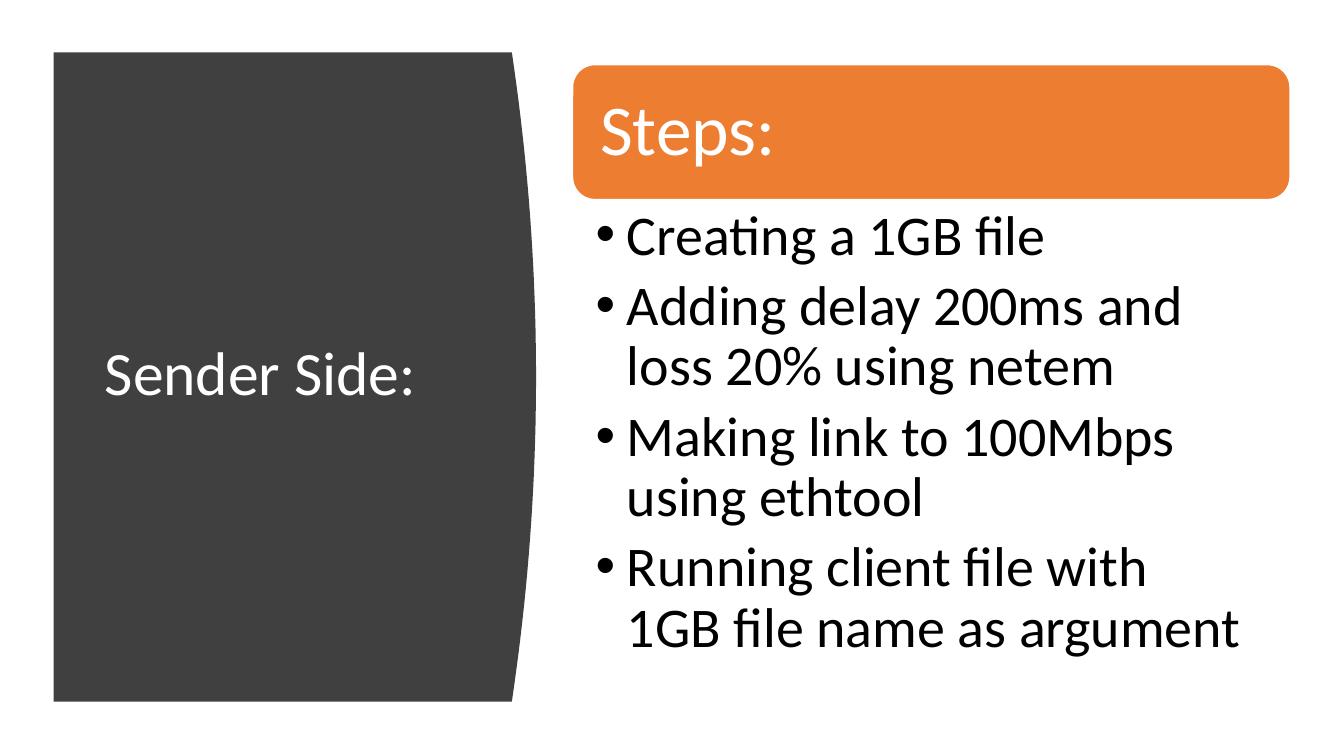
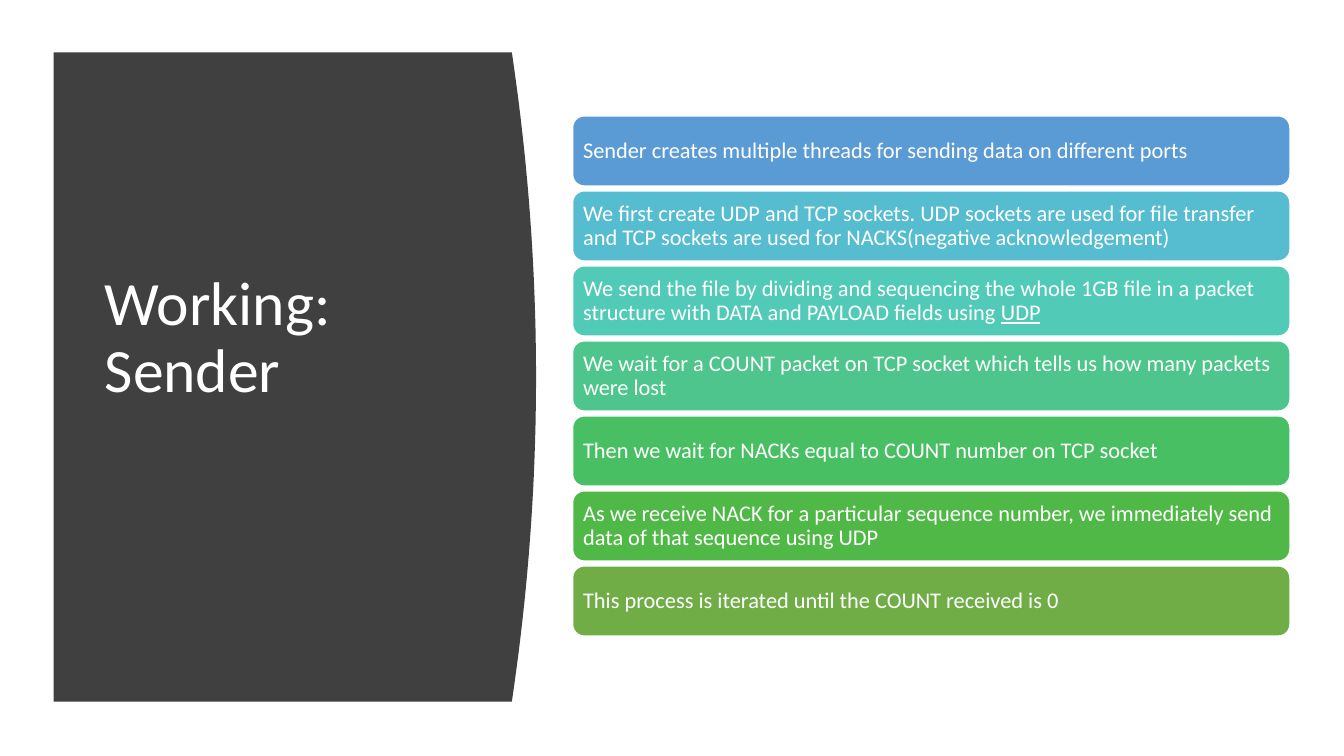
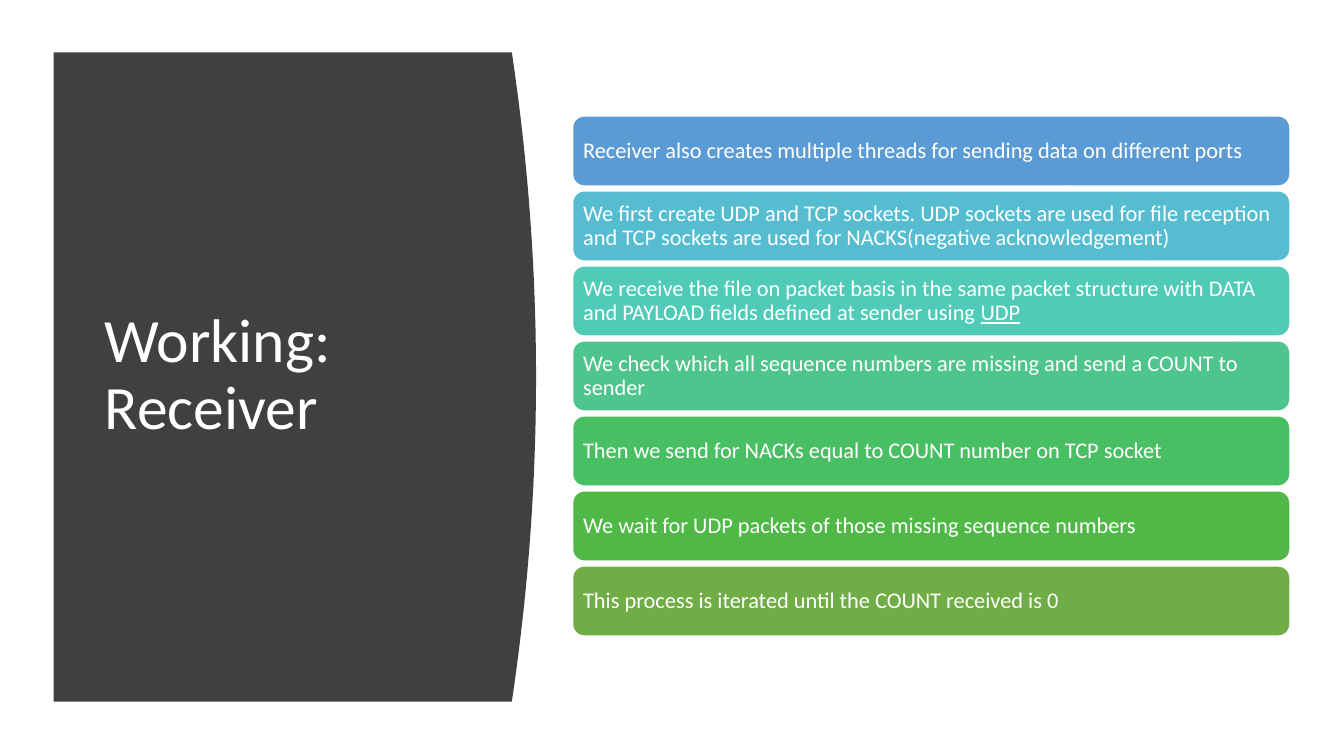
import pptx
import pptx.dml.color
import pptx.enum.shapes
import pptx.enum.text
import pptx.util

Cm = pptx.util.Cm
Pt = pptx.util.Pt
Anchor = pptx.enum.text.MSO_ANCHOR

HUES = {
    "panel": "404040", "white": "FFFFFF", "black": "000000",
    "orange": "ED7D31", "blue": "5B9BD5", "sky": "56BCD0",
    "teal": "52CAB8", "mint": "4DC58D", "green": "49BF64",
    "leaf": "50B846", "olive": "70AD47",
}
STEPS = ["blue", "sky", "teal", "mint", "green", "leaf", "olive"]


def hue(name):
    return pptx.dml.color.RGBColor.from_string(HUES[name])


def write(frame, *lines, size, color="white", anchor=Anchor.MIDDLE,
          pads=(0.25, 0.13, 0.25, 0.13), after=0, hang=0):
    """Fill a text frame; words between underscores are underlined."""
    frame.word_wrap = True
    frame.auto_size = pptx.enum.text.MSO_AUTO_SIZE.NONE
    frame.vertical_anchor = anchor
    (frame.margin_left, frame.margin_top,
     frame.margin_right, frame.margin_bottom) = map(Cm, pads)
    for i, line in enumerate(lines):
        para = frame.add_paragraph() if i else frame.paragraphs[0]
        para.alignment = pptx.enum.text.PP_ALIGN.LEFT
        para.line_spacing = 0.9
        para.space_before, para.space_after = Pt(0), Pt(after)
        if hang:
            props = para._p.get_or_add_pPr()
            props.set("marL", str(Cm(hang)))
            props.set("indent", str(-Cm(hang)))
        for j, part in enumerate(line.split("_")):
            if not part:
                continue
            run = para.add_run()
            run.text = part
            run.font.name, run.font.size = "Calibri", Pt(size)
            run.font.color.rgb = hue(color)
            if j % 2:
                run.font.underline = True


class Deck:
    LEFT, WIDE = 14.43, 18.08  # right-hand column

    def __init__(self):
        self.show = pptx.Presentation()
        self.show.slide_width, self.show.slide_height = Cm(33.87), Cm(19.05)

    def start(self, title, layout=5, lift=0):
        """Add a slide with the curved panel and its title."""
        self.slide = self.show.slides.add_slide(self.show.slide_layouts[layout])
        self.panel()
        head = self.slide.shapes.title
        self.place(head, 2.39, 2.82, 9.5, 13.31)
        write(head.text_frame, title, size=44,
              pads=(0.25, 0.13, 0.25, 0.13 + lift))

    def place(self, shape, *box):
        shape.left, shape.top, shape.width, shape.height = map(Cm, box)

    def panel(self, left=1.35, top=1.32, right=12.9, high=16.36, bulge=0.61):
        count = 40
        edge = []
        for i in range(count + 1):
            t = i / count
            edge.append((Cm(right + bulge * 4 * t * (1 - t)),
                         Cm(top + high * t)))
        pen = self.slide.shapes.build_freeform(Cm(left), Cm(top))
        pen.add_line_segments(edge + [(Cm(left), Cm(top + high))], close=True)
        shape = pen.convert_to_shape()
        shape.shadow.inherit = False
        shape.fill.solid()
        shape.fill.fore_color.rgb = hue("panel")
        shape.line.fill.background()
        # Send behind the title
        self.slide.shapes._spTree.insert(2, shape._element)

    def card(self, text, color, top, high, size, pad):
        kind = pptx.enum.shapes.MSO_SHAPE.ROUNDED_RECTANGLE
        shape = self.slide.shapes.add_shape(
            kind, Cm(self.LEFT), Cm(top), Cm(self.WIDE), Cm(high))
        shape.shadow.inherit = False
        shape.fill.solid()
        shape.fill.fore_color.rgb = hue(color)
        shape.line.color.rgb = hue("white")
        shape.line.width = Pt(1)
        write(shape.text_frame, text, size=size, pads=(pad,) * 4)

    def stack(self, texts, top=2.92, pitch=1.89, high=1.77):
        for i, (text, color) in enumerate(zip(texts, STEPS)):
            self.card(text, color, top + i * pitch, high, size=16, pad=0.18)

    def list(self, *items):
        body = self.slide.placeholders[1]
        self.place(body, self.LEFT, 5.03, self.WIDE, 12.32)
        write(body.text_frame, *items, size=40, color="black",
              anchor=Anchor.TOP, pads=(0.58, 0.18, 1.02, 0.18),
              after=7, hang=0.79)


def main():
    deck = Deck()

    # Sender steps
    deck.start("Sender Side:", layout=1)
    deck.card("Steps:", "orange", 1.63, 3.4, size=51, pad=0.53)
    deck.list(
        "Creating a 1GB file",
        "Adding delay 200ms and loss 20% using netem",
        "Making link to 100Mbps using ethtool",
        "Running client file with 1GB file name as argument",
    )

    # How the sender works
    last = "This process is iterated until the COUNT received is 0"
    deck.start("Working: Sender", lift=1.86)
    deck.stack([
        "Sender creates multiple threads for sending data on different ports",
        "We first create UDP and TCP sockets. UDP sockets are used for file "
        "transfer and TCP sockets are used for NACKS(negative acknowledgement)",
        "We send the file by dividing and sequencing the whole 1GB file in a "
        "packet structure with DATA and PAYLOAD fields using _UDP_",
        "We wait for a COUNT packet on TCP socket which tells us how many "
        "packets were lost",
        "Then we wait for NACKs equal to COUNT number on TCP socket",
        "As we receive NACK for a particular sequence number, we immediately "
        "send data of that sequence using UDP",
        last,
    ])

    # How the receiver works
    deck.start("Working: Receiver")
    deck.stack([
        "Receiver also creates multiple threads for sending data on different "
        "ports",
        "We first create UDP and TCP sockets. UDP sockets are used for file "
        "reception and TCP sockets are used for NACKS(negative acknowledgement)",
        "We receive the file on packet basis in the same packet structure with "
        "DATA and PAYLOAD fields defined at sender using _UDP_",
        "We check which all sequence numbers are missing and send a COUNT to "
        "sender",
        "Then we send for NACKs equal to COUNT number on TCP socket",
        "We wait for UDP packets of those missing sequence numbers",
        last,
    ])

    deck.show.save("out.pptx")


if __name__ == "__main__":
    main()
